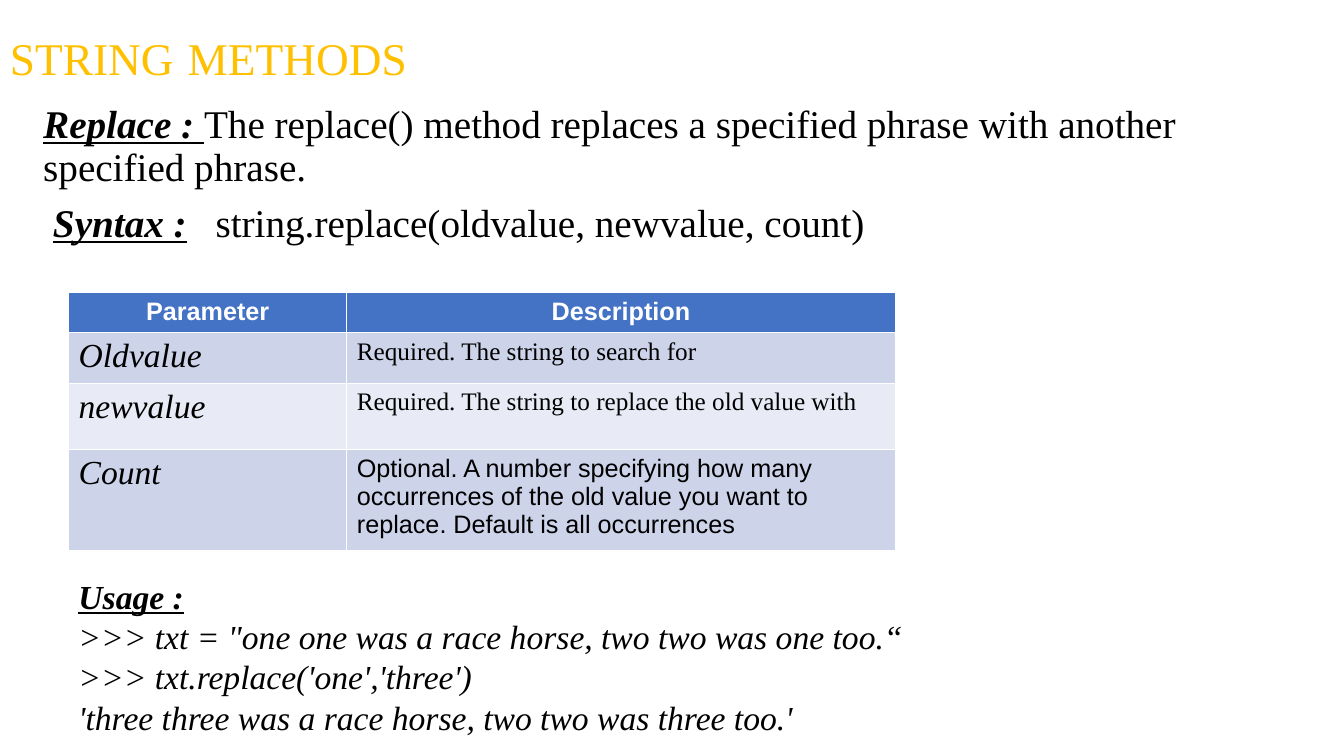
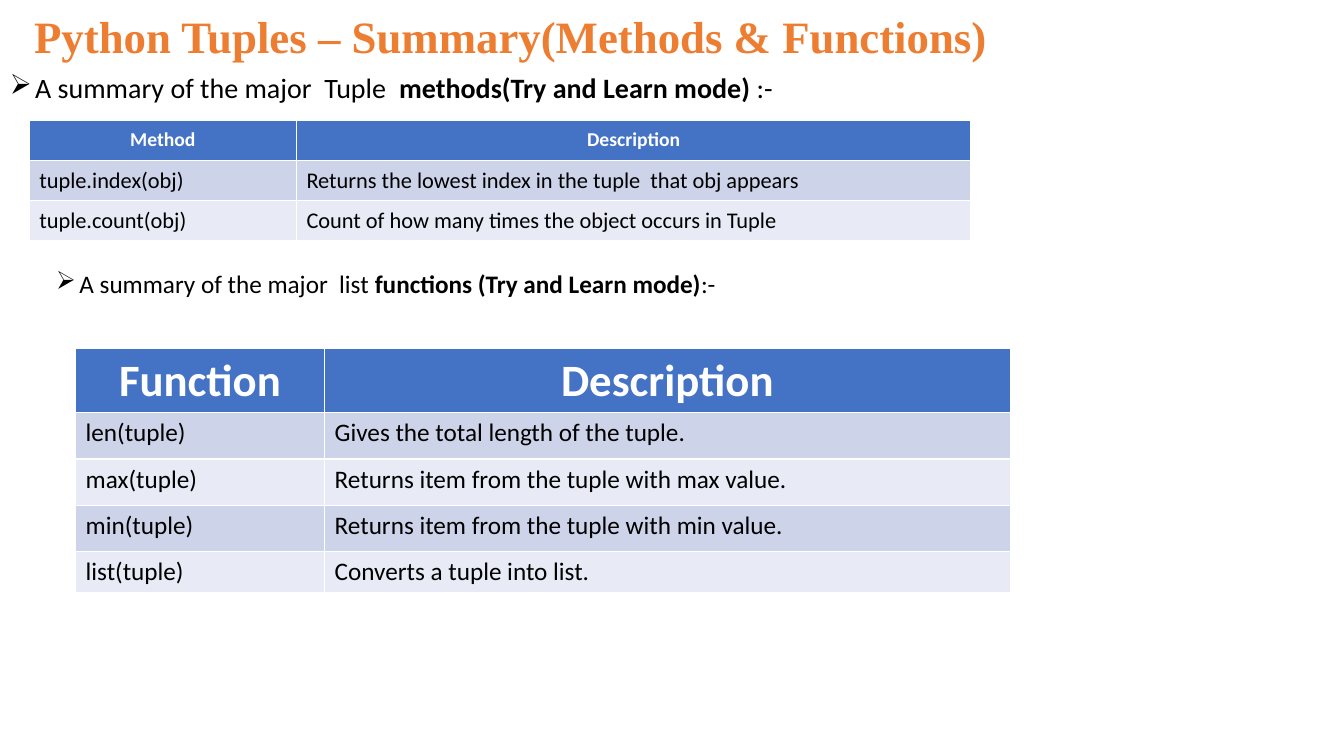
"""Build two lesson slides on string and tuple methods."""
import dataclasses
import typing

import lxml.etree
import pptx
import pptx.dml.color
import pptx.enum.text
import pptx.oxml.ns
import pptx.slide
import pptx.table
import pptx.text.text
import pptx.util

Inches = pptx.util.Inches
Align = pptx.enum.text.PP_ALIGN
Anchor = pptx.enum.text.MSO_ANCHOR
SERIF, SANS, ARIAL = "Times New Roman", "Calibri", "Arial"
BLACK, WHITE, GOLD, ORANGE = "000000", "FFFFFF", "FFC000", "ED7D31"
HEAD, BANDS = "4472C4", ("CDD4EA", "E8EBF5")


@dataclasses.dataclass(frozen=True)
class Style:
    font: str
    size: float
    color: str = BLACK
    bold: bool = False
    slant: bool = False
    under: bool = False


@dataclasses.dataclass(frozen=True)
class Run:
    text: str
    style: Style


@dataclasses.dataclass(frozen=True)
class Para:
    runs: tuple[Run, ...]
    line: float = 1.0
    before: float = 0
    hang: float = 0
    tab: float = 0


@dataclasses.dataclass(frozen=True)
class Box:
    left: float
    top: float
    width: float
    height: float
    paras: tuple[Para, ...]
    anchor: Anchor = Anchor.TOP


@dataclasses.dataclass(frozen=True)
class Grid:
    left: float
    top: float
    widths: tuple[float, ...]
    heights: tuple[float, ...]
    rows: tuple[tuple[Run, ...], ...]
    anchor: Anchor = Anchor.TOP


def tint(code: str) -> pptx.dml.color.RGBColor:
    return pptx.dml.color.RGBColor.from_string(code)


def write(para: pptx.text.text._Paragraph, runs: typing.Iterable[Run]) -> None:
    for item in runs:
        run = para.add_run()
        run.text = item.text
        font, style = run.font, item.style
        font.name, font.size = style.font, pptx.util.Pt(style.size)
        font.bold, font.italic, font.underline = style.bold, style.slant, style.under
        font.color.rgb = tint(style.color)


def add_node(owner: lxml.etree._Element, tag: str, **attrs: str) -> lxml.etree._Element:
    return lxml.etree.SubElement(owner, pptx.oxml.ns.qn(tag), attrs)


def shape_para(para: pptx.text.text._Paragraph, item: Para) -> None:
    para.line_spacing = item.line
    para.space_before = pptx.util.Pt(item.before)
    props = para._p.get_or_add_pPr()
    if item.hang:
        props.set("marL", str(Inches(item.hang)))
        props.set("indent", str(-Inches(item.hang)))
        add_node(props, "a:buFont", typeface="Wingdings")
        add_node(props, "a:buChar", char="Ø")
    if item.tab:
        tabs = add_node(props, "a:tabLst")
        add_node(tabs, "a:tab", pos=str(Inches(item.tab)), algn="l")


def add_box(slide: pptx.slide.Slide, box: Box) -> None:
    shape = slide.shapes.add_textbox(
        Inches(box.left), Inches(box.top), Inches(box.width), Inches(box.height))
    frame = shape.text_frame
    frame.word_wrap, frame.vertical_anchor = True, box.anchor
    for index, item in enumerate(box.paras):
        para = frame.add_paragraph() if index else frame.paragraphs[0]
        shape_para(para, item)
        write(para, item.runs)


def add_grid(slide: pptx.slide.Slide, grid: Grid) -> None:
    table = slide.shapes.add_table(
        len(grid.rows), len(grid.widths), Inches(grid.left), Inches(grid.top),
        Inches(sum(grid.widths)), Inches(sum(grid.heights))).table
    for column, width in zip(table.columns, grid.widths):
        column.width = Inches(width)
    for row, height in zip(table.rows, grid.heights):
        row.height = Inches(height)
    for down, runs in enumerate(grid.rows):
        for across, run in enumerate(runs):
            cell = table.cell(down, across)
            cell.vertical_anchor = grid.anchor
            cell.fill.solid()
            cell.fill.fore_color.rgb = tint(BANDS[(down - 1) % 2] if down else HEAD)
            para = cell.text_frame.paragraphs[0]
            para.alignment = Align.LEFT if down else Align.CENTER
            write(para, [run])


def make_title(left: float, top: float, width: float, height: float, *runs: Run) -> Box:
    return Box(left, top, width, height, (Para(runs, line=0.9),), Anchor.MIDDLE)


def make_rows(head: Style, body: Style, *rows: tuple[str, ...]) -> tuple[tuple[Run, ...], ...]:
    return tuple(
        tuple(Run(text, body if index else head) for text in row)
        for index, row in enumerate(rows))


def make_bullet(size: float, start: str, strong: str, end: str,
                hang: float, line: float = 1.0) -> Para:
    plain = Style(SANS, size)
    bold = dataclasses.replace(plain, bold=True)
    return Para((Run(start, plain), Run(strong, bold), Run(end, plain)), line, hang=hang)


def draw_strings(slide: pptx.slide.Slide) -> None:
    title = Style(SERIF, 32.4, GOLD)
    plain = Style(SERIF, 28)
    slant = Style(SERIF, 28, slant=True)
    label = Style(SERIF, 28, bold=True, slant=True, under=True)
    add_box(slide, make_title(
        0, 0.2, 11.5, 0.75, Run("STRING", title),
        Run(" ", Style(SERIF, 39.6)), Run("METHODS", title)))
    add_box(slide, Box(0.33, 0.99, 11.99, 5.68, (
        Para((Run("Replace : ", label),
              Run("The replace() method replaces a specified phrase with another "
                  "specified phrase.", plain)), line=0.9),
        Para((Run(" ", slant), Run("Syntax :", label), Run("\t", slant),
              Run("string.replace(oldvalue, newvalue, count)", plain)),
             line=0.9, before=10, tab=1.71))))
    head = Style(ARIAL, 18, WHITE, bold=True)
    name, note = Style(SERIF, 24, slant=True), Style(SERIF, 18)
    add_grid(slide, Grid(0.68, 2.9, (2.76, 5.44), (0.37, 0.47, 0.66, 0.94), (
        (Run("Parameter", head), Run("Description", head)),
        (Run("Oldvalue", name), Run("Required. The string to search for", note)),
        (Run("newvalue", name),
         Run("Required. The string to replace the old value with", note)),
        (Run("Count", name),
         Run("Optional. A number specifying how many occurrences of the old value "
             "you want to replace. Default is all occurrences", Style(ARIAL, 18))))))
    usage = (
        Run("Usage :", dataclasses.replace(label, size=24)),
        Run(">>> txt = \"one one was a race horse, two two was one too.“", name),
        Run(">>> txt.replace('one','three')", name),
        Run("'three three was a race horse, two two was three too.'", name))
    add_box(slide, Box(0.68, 5.66, 9.17, 2.02, tuple(Para((run,)) for run in usage)))


def draw_tuples(slide: pptx.slide.Slide) -> None:
    add_box(slide, make_title(
        0.24, 0, 9.93, 0.77,
        Run("Python Tuples – Summary(Methods & Functions)",
            Style(SERIF, 32, ORANGE, bold=True))))
    add_box(slide, Box(0, 0.69, 12.27, 6.81, (
        make_bullet(20, "A summary of the major  Tuple  ",
                    "methods(Try and Learn mode)", " :-", 0.25, 0.9),)))
    add_grid(slide, Grid(
        0.29, 1.19, (2.65, 6.69), (0.4,) * 3,
        make_rows(
            Style(SANS, 14, WHITE, bold=True), Style(SANS, 16),
            ("Method", "Description"),
            ("tuple.index(obj)", "Returns the lowest index in the tuple  that obj appears"),
            ("tuple.count(obj)", "Count of how many times the object occurs in Tuple")),
        Anchor.MIDDLE))
    add_box(slide, Box(0.46, 2.61, 6.83, 0.71, (
        make_bullet(18, "A summary of the major  list ",
                    "functions (Try and Learn mode)", ":-", 0.23),)))
    add_grid(slide, Grid(
        0.75, 3.46, (2.47, 6.8), (0.63, 0.46, 0.46, 0.46, 0.41),
        make_rows(
            Style(SANS, 32, WHITE, bold=True), Style(SANS, 18),
            ("Function", "Description"),
            ("len(tuple)", "Gives the total length of the tuple."),
            ("max(tuple)", "Returns item from the tuple with max value."),
            ("min(tuple)", "Returns item from the tuple with min value."),
            ("list(tuple)", "Converts a tuple into list."))))


def main() -> None:
    deck = pptx.Presentation()
    deck.slide_width, deck.slide_height = Inches(13.33), Inches(7.5)
    for draw in (draw_strings, draw_tuples):
        draw(deck.slides.add_slide(deck.slide_layouts[6]))
    deck.save("out.pptx")


if __name__ == "__main__":
    main()
